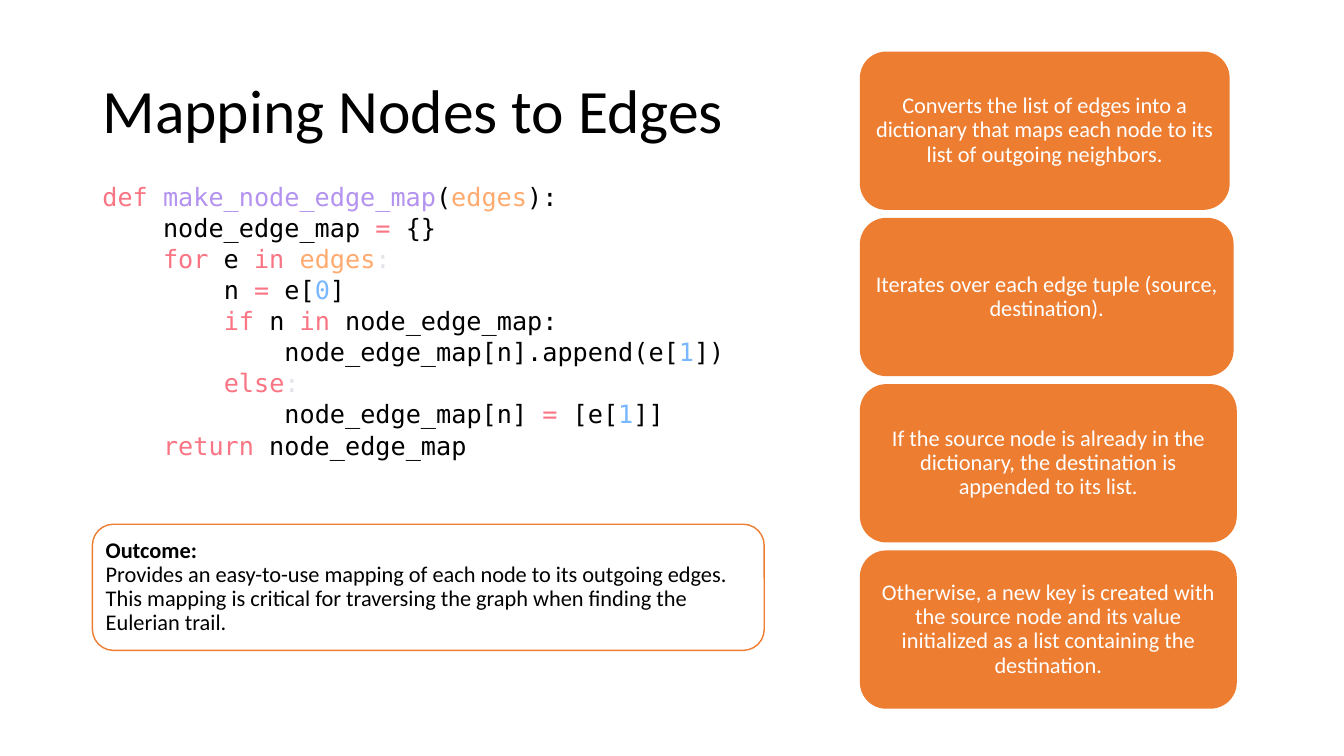
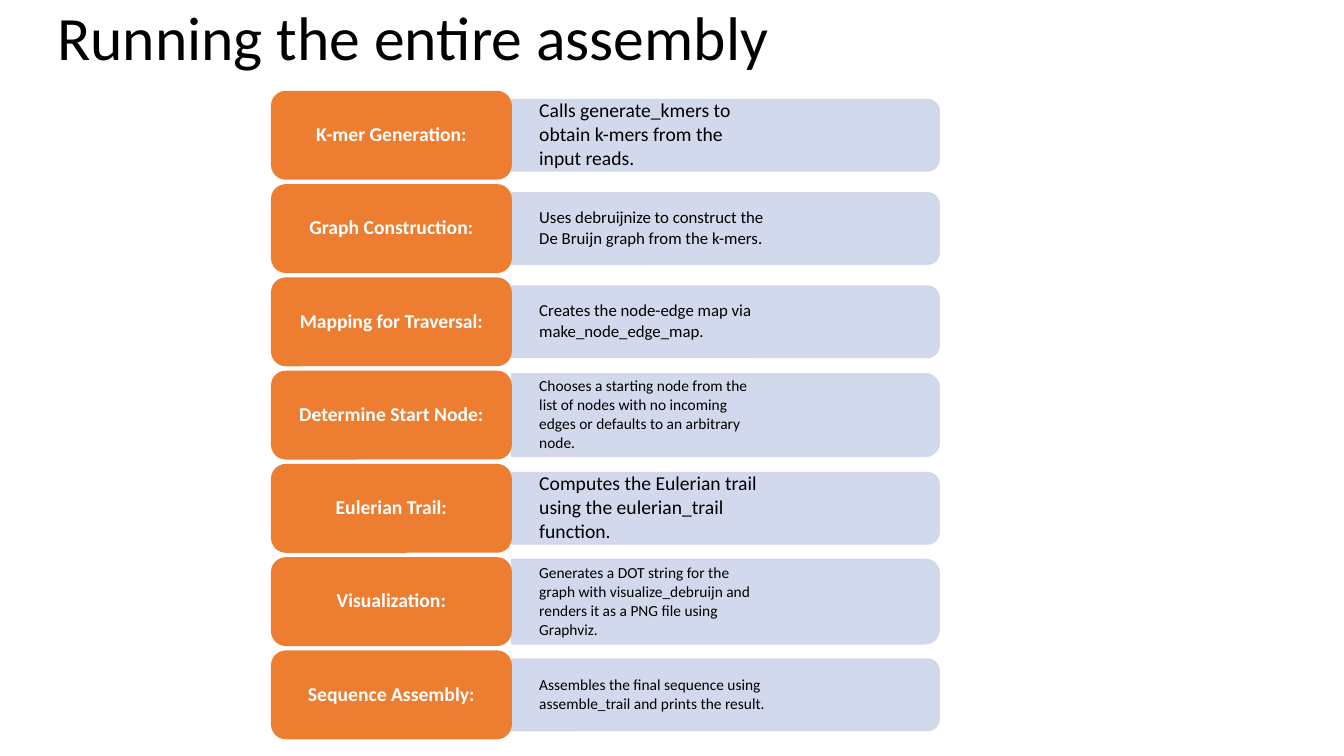
"""Build two slides on mapping graph nodes and running a sequence assembly."""
import lxml.etree
import pptx
import pptx.dml.color
import pptx.enum.shapes
import pptx.enum.text
import pptx.oxml.ns
import pptx.util

Cm = pptx.util.Cm
Pt = pptx.util.Pt
SHAPES = pptx.enum.shapes.MSO_SHAPE
ALIGN = pptx.enum.text.PP_ALIGN
ANCHOR = pptx.enum.text.MSO_ANCHOR

FONT, CODE_FONT = "Calibri", "DejaVu Sans Mono"
BLACK, WHITE, ORANGE, LAVENDER = "000000", "FFFFFF", "ED7D31", "CFD5EA"
KEYWORD, FUNCTION, PARAMETER = "F97583", "B392F0", "FFAB70"
NUMBER, PALE = "79B8FF", "E1E4E8"

MAPPING_TITLE = "Mapping Nodes to Edges"
CODE = [
    (0, [("def ", KEYWORD), ("make_node_edge_map", FUNCTION), ("(", BLACK),
         ("edges", PARAMETER), ("):", BLACK)]),
    (1, [("node_edge_map ", BLACK), ("= ", KEYWORD), ("{}", BLACK)]),
    (1, [("for ", KEYWORD), ("e ", BLACK), ("in ", KEYWORD),
         ("edges", PARAMETER), (":", PALE)]),
    (2, [("n ", BLACK), ("= ", KEYWORD), ("e[", BLACK), ("0", NUMBER), ("]", BLACK)]),
    (2, [("if ", KEYWORD), ("n ", BLACK), ("in ", KEYWORD), ("node_edge_map:", BLACK)]),
    (3, [("node_edge_map[n].append(e[", BLACK), ("1", NUMBER), ("])", BLACK)]),
    (2, [("else", KEYWORD), (":", PALE)]),
    (3, [("node_edge_map[n] ", BLACK), ("= ", KEYWORD), ("[e[", BLACK),
         ("1", NUMBER), ("]]", BLACK)]),
    (1, [("return ", KEYWORD), ("node_edge_map", BLACK)]),
]
STEPS = [
    (9.32, "Converts the list of edges into a dictionary that maps each node to its "
           "list of outgoing neighbors."),
    (9.42, "Iterates over each edge tuple (source, destination)."),
    (9.5, "If the source node is already in the dictionary, the destination is "
          "appended to its list."),
    (9.5, "Otherwise, a new key is created with the source node and its value "
          "initialized as a list containing the destination."),
]
OUTCOME = ("Outcome:", "Provides an easy-to-use mapping of each node to its outgoing edges. "
           "This mapping is critical for traversing the graph when finding the Eulerian trail.")

ASSEMBLY_TITLE = "Running the entire assembly"
STAGES = [
    ("K-mer Generation:", 14, 1.8,
     ["Calls generate_kmers to", "obtain k-mers from the", "input reads."]),
    ("Graph Construction:", 12, 1.8,
     ["Uses debruijnize to construct the", "De Bruijn graph from the k-mers."]),
    ("Mapping for Traversal:", 12, 1.8,
     ["Creates the node-edge map via", "make_node_edge_map."]),
    ("Determine Start Node:", 11, 2.08,
     ["Chooses a starting node from the", "list of nodes with no incoming",
      "edges or defaults to an arbitrary", "node."]),
    ("Eulerian Trail:", 14, 1.8,
     ["Computes the Eulerian trail", "using the eulerian_trail", "function."]),
    ("Visualization:", 11, 2.13,
     ["Generates a DOT string for the", "graph with visualize_debruijn and",
      "renders it as a PNG file using", "Graphviz."]),
    ("Sequence Assembly:", 11, 1.8,
     ["Assembles the final sequence using", "assemble_trail and prints the result."]),
]


def rgb(color):
    return pptx.dml.color.RGBColor.from_string(color)


def box(left, top, width, height):
    return Cm(left), Cm(top), Cm(width), Cm(height)


def format_run(run, size, color, font=FONT, bold=False):
    run.font.name = font
    run.font.size = Pt(size)
    run.font.bold = bold
    run.font.color.rgb = rgb(color)


def set_frame(frame, horizontal, vertical, anchor=ANCHOR.MIDDLE):
    frame.word_wrap = True
    frame.auto_size = pptx.enum.text.MSO_AUTO_SIZE.NONE
    frame.vertical_anchor = anchor
    frame.margin_left = frame.margin_right = Cm(horizontal)
    frame.margin_top = frame.margin_bottom = Cm(vertical)


def format_text(frame, size, color, align=ALIGN.LEFT, after=0, bold=False):
    for paragraph in frame.paragraphs:
        paragraph.alignment = align
        paragraph.line_spacing = 0.9
        paragraph.space_after = Pt(size * after)
        for run in paragraph.runs:
            format_run(run, size, color, bold=bold)


def add_titled_slide(presentation, text, place):
    slide = presentation.slides.add_slide(presentation.slide_layouts[5])
    title = slide.shapes.title
    title.left, title.top, title.width, title.height = box(*place)
    title.text_frame.text = text
    set_frame(title.text_frame, 0.25, 0.13)
    format_text(title.text_frame, 44, BLACK)
    return slide


def add_panel(slide, kind, place, fill, line=None):
    shape = slide.shapes.add_shape(kind, *box(*place))
    shape.shadow.inherit = False
    shape.fill.solid()
    shape.fill.fore_color.rgb = rgb(fill)
    if line:
        shape.line.color.rgb = rgb(line)
        shape.line.width = Pt(1)
    else:
        shape.line.fill.background()
    return shape


def add_label(slide, place, text, size, margin, bold=False):
    label = add_panel(slide, SHAPES.ROUNDED_RECTANGLE, place, ORANGE)
    label.text_frame.text = text
    set_frame(label.text_frame, margin, 0.08)
    format_text(label.text_frame, size, WHITE, ALIGN.CENTER, 0.35, bold)


def add_code(slide):
    frame = slide.shapes.add_textbox(*box(2.33, 4.7, 16.93, 7.06)).text_frame
    set_frame(frame, 0.25, 0.13, ANCHOR.TOP)
    for index, (level, tokens) in enumerate(CODE):
        paragraph = frame.add_paragraph() if index else frame.paragraphs[0]
        paragraph.line_spacing = Pt(14.2)
        paragraph.space_after = Pt(8)
        paragraph._p.get_or_add_pPr().set("marL", str(Cm(1.53 * level)))
        for text, color in tokens:
            run = paragraph.add_run()
            run.text = text
            format_run(run, 18, color, CODE_FONT)


def add_outcome(slide):
    panel = add_panel(slide, SHAPES.ROUNDED_RECTANGLE, (2.33, 13.21, 16.93, 3.18),
                      WHITE, ORANGE)
    frame = panel.text_frame
    set_frame(frame, 0.18, 0.18)
    frame.text = "\v".join(OUTCOME)
    format_text(frame, 16, BLACK, after=0.35)
    frame.paragraphs[0].runs[0].font.bold = True


def add_band(slide, left, middle, length, height):
    place = (left + (length - height) / 2, middle - length / 2, height, length)
    band = add_panel(slide, SHAPES.ROUND_2_SAME_RECTANGLE, place, LAVENDER, LAVENDER)
    band.rotation = 90
    for color in band._element.spPr.iter(pptx.oxml.ns.qn("a:srgbClr")):
        lxml.etree.SubElement(color, pptx.oxml.ns.qn("a:alpha"), val="90000")


def build_mapping(presentation):
    slide = add_titled_slide(presentation, MAPPING_TITLE, (2.33, 1.02, 29.21, 3.68))
    add_code(slide)
    for index, (width, text) in enumerate(STEPS):
        add_label(slide, (21.67, 1.3 + 4.19 * index, width, 3.99), text, 16, 0.18)
    add_outcome(slide)


def build_assembly(presentation):
    slide = add_titled_slide(presentation, ASSEMBLY_TITLE, (1.19, 0.05, 29.21, 1.93))
    left, width, height, length = 6.83, 6.07, 2.24, 10.77
    for index, (name, size, band_height, lines) in enumerate(STAGES):
        top = 2.29 + 2.35 * index
        middle = top + height / 2
        add_band(slide, left + width, middle, length, band_height)
        place = (left + width, middle - band_height / 2, length, band_height)
        frame = slide.shapes.add_textbox(*box(*place)).text_frame
        frame.text = "\n".join(lines)
        set_frame(frame, 0.69, 0.36)
        format_text(frame, size, BLACK, after=0.15)
        add_label(slide, (left, top, width, height), name, 14, 0.15, bold=True)


def main():
    presentation = pptx.Presentation()
    presentation.slide_width = Cm(33.87)
    presentation.slide_height = Cm(19.05)
    build_mapping(presentation)
    build_assembly(presentation)
    presentation.save("out.pptx")


if __name__ == "__main__":
    main()
